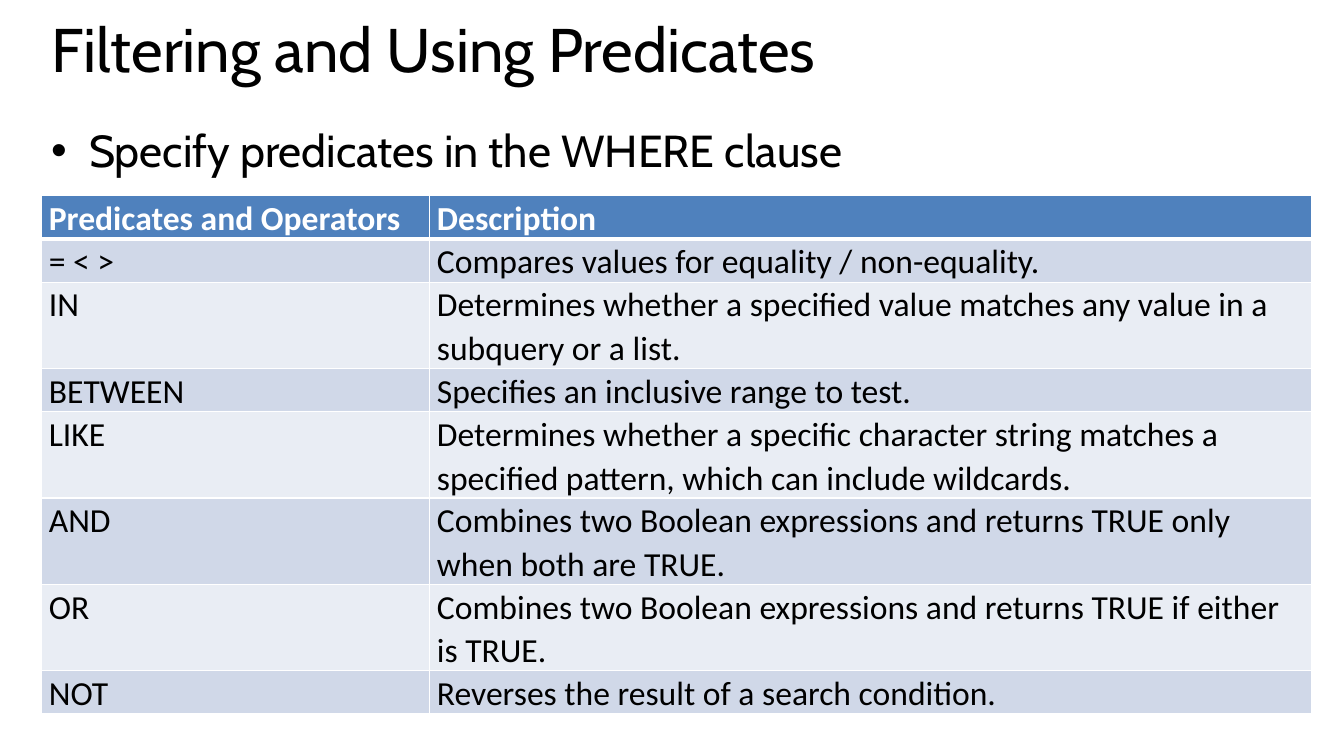
from dataclasses import dataclass

from lxml.etree import SubElement
from pptx import Presentation
from pptx.dml.color import RGBColor
from pptx.enum.text import MSO_ANCHOR
from pptx.oxml.ns import qn
from pptx.util import Pt


@dataclass(frozen=True)
class Theme:
    heading_font: str = "Cabin"
    table_font: str = "Calibri"
    title_size: float = 44
    bullet_size: float = 32
    table_size: float = 24
    text: str = "000000"
    white: str = "FFFFFF"
    header: str = "4F81BD"
    bands: tuple = ("D0D8E8", "E9EDF4")
    thin_border: float = 1
    thick_border: float = 3


THEME = Theme()

PREDICATES = [
    ("Predicates and Operators", "Description"),
    ("= < >", "Compares values for equality / non-equality."),
    ("IN", "Determines whether a specified value matches any value in a subquery or a list."),
    ("BETWEEN", "Specifies an inclusive range to test."),
    ("LIKE", "Determines whether a specific character string matches a specified pattern, "
             "which can include wildcards."),
    ("AND", "Combines two Boolean expressions and returns TRUE only when both are TRUE."),
    ("OR", "Combines two Boolean expressions and returns TRUE if either is TRUE."),
    ("NOT", "Reverses the result of a search condition."),
]


def write_text(frame, text, *, font, size, color=THEME.text, bold=False,
               line_spacing=1.0, bullet=None, indent=0):
    frame.word_wrap = True
    paragraph = frame.paragraphs[0]
    paragraph.line_spacing = line_spacing
    if bullet:
        properties = paragraph._p.get_or_add_pPr()
        properties.set("marL", str(Pt(indent)))
        properties.set("indent", str(-Pt(indent)))
        SubElement(properties, qn("a:buFont"), typeface="Arial")
        SubElement(properties, qn("a:buChar"), char=bullet)
    run = paragraph.add_run()
    run.text = text
    run.font.name = font
    run.font.size = Pt(size)
    run.font.bold = bold
    run.font.color.rgb = RGBColor.from_string(color)


def add_text(slide, box, text, **text_format):
    shape = slide.shapes.add_textbox(*map(Pt, box))
    shape.text_frame.vertical_anchor = MSO_ANCHOR.TOP
    write_text(shape.text_frame, text, **text_format)


def set_borders(cell, top, bottom):
    properties = cell._tc.get_or_add_tcPr()
    widths = {"L": THEME.thin_border, "R": THEME.thin_border, "T": top, "B": bottom}
    for side, width in widths.items():
        line = SubElement(properties, qn(f"a:ln{side}"), w=str(Pt(width)))
        fill = SubElement(line, qn("a:solidFill"))
        SubElement(fill, qn("a:srgbClr"), val=THEME.white)


def format_cell(cell, text, row_index):
    is_header = row_index == 0
    set_borders(
        cell,
        top=THEME.thick_border if row_index == 1 else THEME.thin_border,
        bottom=THEME.thick_border if is_header else THEME.thin_border,
    )
    cell.fill.solid()
    fill = THEME.header if is_header else THEME.bands[(row_index - 1) % 2]
    cell.fill.fore_color.rgb = RGBColor.from_string(fill)
    cell.margin_left = cell.margin_right = Pt(5.4)
    cell.margin_top = cell.margin_bottom = Pt(0)
    write_text(cell.text_frame, text, font=THEME.table_font, size=THEME.table_size,
               color=THEME.white if is_header else THEME.text,
               bold=is_header, line_spacing=1.07)


def add_predicate_table(slide, box, rows, first_column=277.2, row_height=29.5):
    left, top, width, height = box
    table = slide.shapes.add_table(
        len(rows), len(rows[0]), Pt(left), Pt(top), Pt(width), Pt(height)).table
    table.columns[0].width = Pt(first_column)
    table.columns[1].width = Pt(width - first_column)
    for row_index, texts in enumerate(rows):
        table.rows[row_index].height = Pt(row_height)
        for column_index, text in enumerate(texts):
            format_cell(table.cell(row_index, column_index), text, row_index)


def add_predicates_slide(presentation, box):
    left, top, width, height = box
    slide = presentation.slides.add_slide(presentation.slide_layouts[6])
    add_text(slide, (left + 0.5, top, width, 83.5), "Filtering and Using Predicates",
             font=THEME.heading_font, size=THEME.title_size, line_spacing=0.8)
    add_predicate_table(slide, (left, top + 125.5, width, height - 125.5), PREDICATES)
    add_text(slide, (left, top + 70, width, 54.5), "Specify predicates in the WHERE clause",
             font=THEME.heading_font, size=THEME.bullet_size, bullet="•", indent=27)


def main():
    presentation = Presentation()
    presentation.slide_width = Pt(960)
    presentation.slide_height = Pt(540)
    add_predicates_slide(presentation, (29.5, 14.4, 907.2, 495.5))
    presentation.save("out.pptx")


if __name__ == "__main__":
    main()
